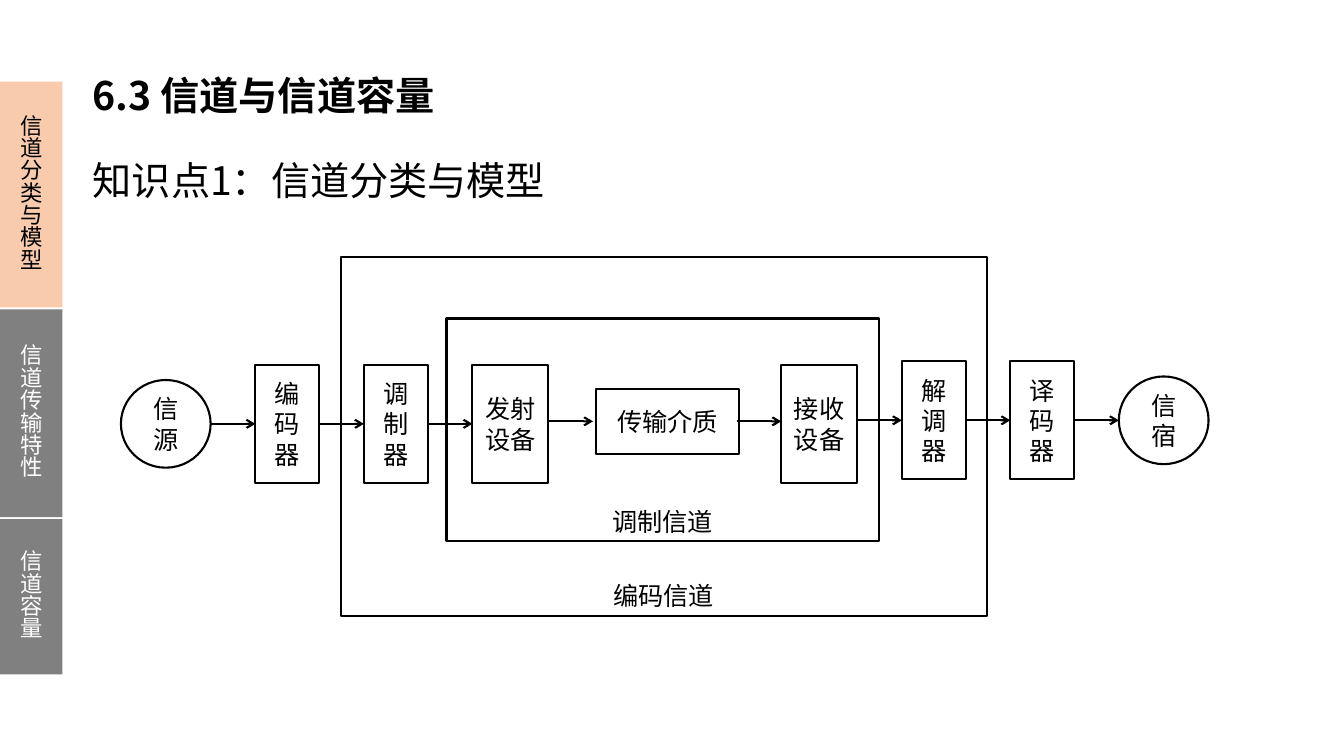
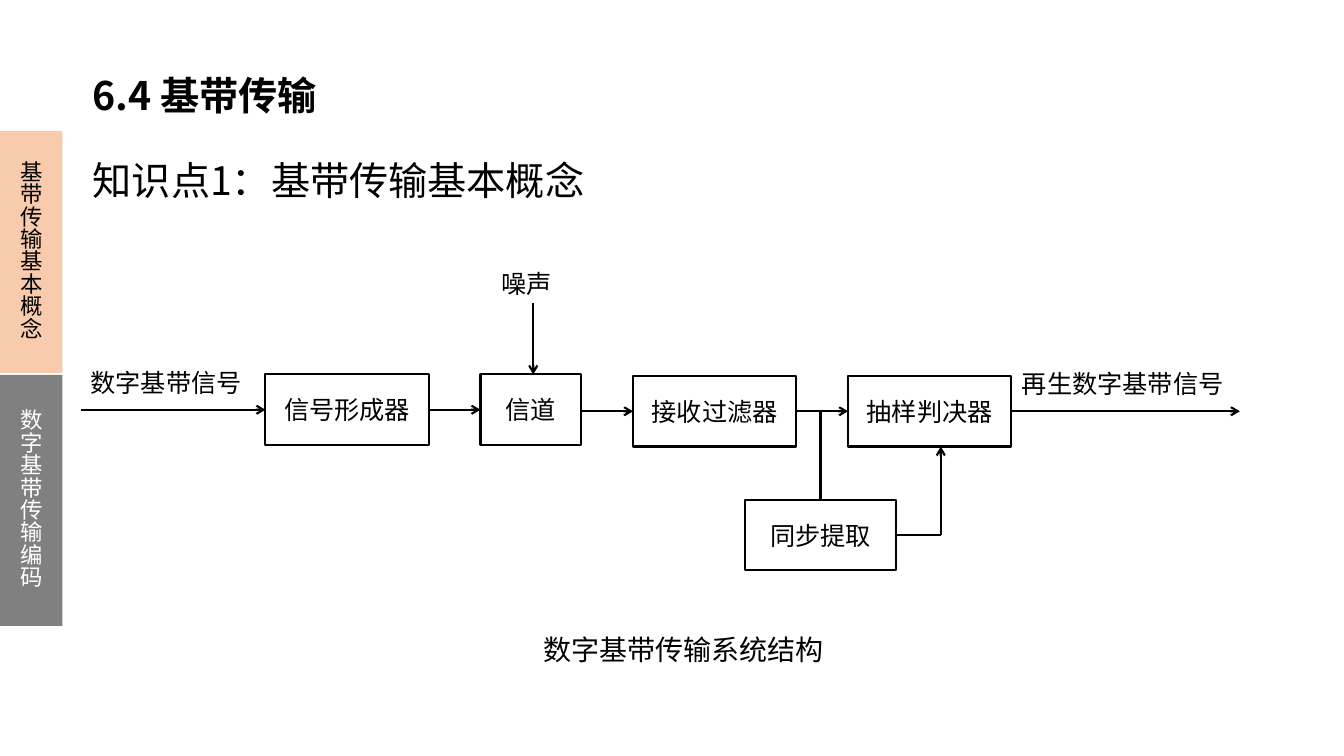
import lxml.etree
import pptx
import pptx.dml.color
import pptx.enum.shapes
import pptx.enum.text
import pptx.oxml.ns
import pptx.util

RGBColor = pptx.dml.color.RGBColor
BLACK = RGBColor(0x00, 0x00, 0x00)
WHITE = RGBColor(0xFF, 0xFF, 0xFF)
PEACH = RGBColor(0xF8, 0xCB, 0xAD)
GRAY = RGBColor(0x80, 0x80, 0x80)

FONT = "Noto Sans CJK SC"
RECTANGLE = pptx.enum.shapes.MSO_SHAPE.RECTANGLE
OVAL = pptx.enum.shapes.MSO_SHAPE.OVAL
STRAIGHT = pptx.enum.shapes.MSO_CONNECTOR.STRAIGHT
ANCHOR = pptx.enum.text.MSO_ANCHOR
ALIGN = pptx.enum.text.PP_ALIGN
LINE_WIDTH = pptx.util.Pt(1.5)

deck = pptx.Presentation()
deck.slide_width = pptx.util.Inches(13.33)
deck.slide_height = pptx.util.Inches(7.5)
COLUMN = deck.slide_width / 40
ROW = deck.slide_height / 30

TITLE = {"font": {"size": pptx.util.Pt(28), "bold": True},
         "frame": {"margin_left": pptx.util.Inches(0.12), "margin_top": pptx.util.Inches(0.06)}}
TOPIC = {"font": {"size": pptx.util.Pt(28)},
         "para": {"line_spacing": 1.5},
         "frame": {"margin_left": pptx.util.Inches(0.12), "vertical_anchor": ANCHOR.MIDDLE}}
TAB = {"font": {"size": pptx.util.Pt(16)},
       "para": {"alignment": ALIGN.CENTER, "line_spacing": pptx.util.Pt(16)},
       "frame": {"vertical_anchor": ANCHOR.MIDDLE}}
BLOCK = {"para": {"alignment": ALIGN.CENTER}, "frame": {"vertical_anchor": ANCHOR.MIDDLE}}
CHANNEL = {"para": {"alignment": ALIGN.CENTER}, "frame": {"vertical_anchor": ANCHOR.BOTTOM}}
LABEL = {}
CAPTION = {"font": {"size": pptx.util.Pt(20)}}


def add_box(page, text, grid, style, shape=None, fill=None, color=BLACK):
    """Place text at (left, top, width, height) in grid units; without a shape it is a text box.

    A shape without a fill gets a black outline."""
    left, top, width, height = grid
    place = [round(value) for value in (left * COLUMN, top * ROW, width * COLUMN, height * ROW)]
    if shape is None:
        box = page.shapes.add_textbox(*place)
    else:
        box = page.shapes.add_shape(shape, *place)
        box.shadow.inherit = False
        if fill is None:
            box.fill.background()
            box.line.color.rgb = BLACK
            box.line.width = LINE_WIDTH
        else:
            box.fill.solid()
            box.fill.fore_color.rgb = fill
            box.line.fill.background()
    frame = box.text_frame
    frame.word_wrap = True
    para = frame.paragraphs[0]
    span = para.add_run()
    span.text = text
    font_format = {"size": pptx.util.Pt(18), "name": FONT} | style.get("font", {})
    for target, values in ((frame, style.get("frame", {})),
                           (para, style.get("para", {})),
                           (span.font, font_format)):
        for name, value in values.items():
            setattr(target, name, value)
    span.font.color.rgb = color
    east_asian = lxml.etree.SubElement(span.font._element, pptx.oxml.ns.qn("a:ea"))
    east_asian.set("typeface", FONT)


def add_line(page, start, end, arrow=True):
    line = page.shapes.add_connector(
        STRAIGHT, round(start[0] * COLUMN), round(start[1] * ROW),
        round(end[0] * COLUMN), round(end[1] * ROW))
    line.line.color.rgb = BLACK
    line.line.width = LINE_WIDTH
    properties = line._element.spPr
    if arrow:
        outline = properties.find(pptx.oxml.ns.qn("a:ln"))
        lxml.etree.SubElement(outline, pptx.oxml.ns.qn("a:tailEnd")).set("type", "arrow")
    lxml.etree.SubElement(properties, pptx.oxml.ns.qn("a:effectLst"))


# Titles and side tabs; the first tab is the current topic
TAB_WIDTH, TAB_GAP = 1.86, 0.08
headings = [
    ("6.3 信道与信道容量", "知识点1：信道分类与模型", 3.24,
     [("信道分类与模型", 8.96), ("信道传输特性", 8.24), ("信道容量", 6.16)]),
    ("6.4 基带传输", "知识点1：基带传输基本概念", 5.2,
     [("基带传输基本概念", 9.6), ("数字基带传输编码", 9.96)]),
]
pages = []
for title, topic, tab_top, tabs in headings:
    page = deck.slides.add_slide(deck.slide_layouts[6])
    pages.append(page)
    add_box(page, title, (2.4, 2.6, 28.95, 2.36), TITLE)
    add_box(page, topic, (2.4, 4.6, 36.48, 4.16), TOPIC)
    for index, (text, height) in enumerate(tabs):
        fill, color = (GRAY, WHITE) if index else (PEACH, BLACK)
        add_box(page, text, (0, tab_top, TAB_WIDTH, height), TAB, RECTANGLE, fill, color)
        tab_top += height + TAB_GAP

channel_page, baseband_page = pages

# Channel model: nested channels around a chain of devices
add_box(channel_page, "编码信道", (10.14, 10.2, 19.23, 14.24), CHANNEL, RECTANGLE)
add_box(channel_page, "调制信道", (13.29, 12.64, 12.87, 8.84), CHANNEL, RECTANGLE)

LEFT_AXIS, MIDDLE_AXIS, RIGHT_AXIS = 16.82, 16.72, 16.68
DEVICE_GAP = 1.33
devices = [  # text, shape, width, height, axis of the box, axis of the next arrow, shift
    ("信源", OVAL, 2.67, 3.48, LEFT_AXIS, LEFT_AXIS, 0),
    ("编码器", RECTANGLE, 1.9, 4.68, LEFT_AXIS, LEFT_AXIS, 0),
    ("调制器", RECTANGLE, 1.9, 4.68, LEFT_AXIS, LEFT_AXIS, 0),
    ("发射设备", RECTANGLE, 2.26, 4.68, LEFT_AXIS, MIDDLE_AXIS, 0),
    ("传输介质", RECTANGLE, 4.27, 2.6, MIDDLE_AXIS, MIDDLE_AXIS, 0.08),
    ("接收设备", RECTANGLE, 2.26, 4.68, LEFT_AXIS, RIGHT_AXIS, 0),
    ("解调器", RECTANGLE, 1.9, 4.68, RIGHT_AXIS, RIGHT_AXIS, 0),
    ("译码器", RECTANGLE, 1.9, 4.68, RIGHT_AXIS, RIGHT_AXIS, 0),
    ("信宿", OVAL, 2.67, 3.48, RIGHT_AXIS, None, 0),
]
left = 3.6
for text, shape, width, height, axis, arrow_axis, shift in devices:
    add_box(channel_page, text, (left + shift, axis - height / 2, width, height), BLOCK, shape)
    left += width
    if arrow_axis is not None:
        add_line(channel_page, (left, arrow_axis), (left + DEVICE_GAP, arrow_axis))
        left += DEVICE_GAP

# Baseband system: each stage is followed by its outgoing arrow
INPUT_AXIS, OUTPUT_AXIS = 16.26, 16.32
STAGE_HEIGHT, STAGE_GAP = 2.8, 1.54
stages = [  # text, width, axis, length of the next arrow
    ("信号形成器", 4.86, INPUT_AXIS, STAGE_GAP),
    ("信道", 3, INPUT_AXIS, STAGE_GAP),
    ("接收过滤器", 4.86, OUTPUT_AXIS, STAGE_GAP),
    ("抽样判决器", 4.86, OUTPUT_AXIS, 6.8),
]
left = 7.9
add_line(baseband_page, (2.4, INPUT_AXIS), (left, INPUT_AXIS))
for index, (text, width, axis, reach) in enumerate(stages):
    add_box(baseband_page, text, (left, axis - STAGE_HEIGHT / 2, width, STAGE_HEIGHT),
            BLOCK, RECTANGLE)
    left += width
    arrow_axis = OUTPUT_AXIS if index else INPUT_AXIS
    add_line(baseband_page, (left, arrow_axis), (left + reach, arrow_axis))
    left += reach

# Synchronisation branch and noise input
SYNC_AXIS, SYNC_LEFT, SYNC_WIDTH = 21.24, 22.17, 4.5
TAP, RETURN, NOISE = 24.42, 28, 15.87
half_stage = STAGE_HEIGHT / 2
add_box(baseband_page, "同步提取", (SYNC_LEFT, SYNC_AXIS - half_stage, SYNC_WIDTH, STAGE_HEIGHT),
        BLOCK, RECTANGLE)
add_line(baseband_page, (TAP, OUTPUT_AXIS), (TAP, SYNC_AXIS - half_stage), arrow=False)
add_line(baseband_page, (SYNC_LEFT + SYNC_WIDTH, SYNC_AXIS), (RETURN, SYNC_AXIS), arrow=False)
add_line(baseband_page, (RETURN, SYNC_AXIS), (RETURN, OUTPUT_AXIS + half_stage))
add_line(baseband_page, (NOISE, 12.04), (NOISE, INPUT_AXIS - half_stage))

for text, grid, style in [
    ("数字基带信号", (2.4, 14.36, 6.12, 1.6), LABEL),
    ("再生数字基带信号", (30.12, 14.4, 7.62, 1.6), LABEL),
    ("噪声", (14.64, 10.44, 6.12, 1.6), LABEL),
    ("数字基带传输系统结构", (NOISE, 24.92, 10.89, 1.76), CAPTION),
]:
    add_box(baseband_page, text, grid, style)

deck.save("out.pptx")
